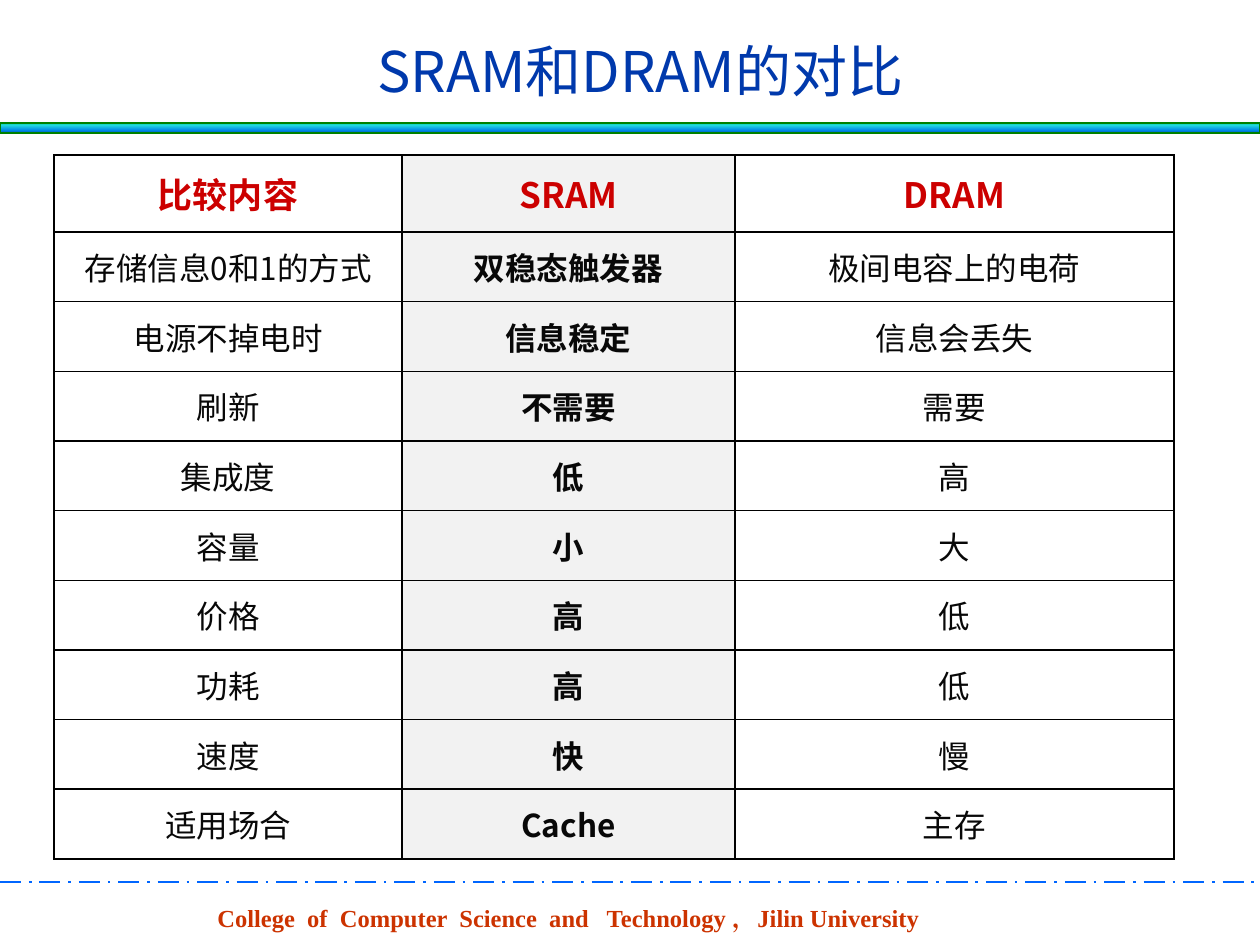
"""Build a slide that compares SRAM with DRAM in a table."""
from lxml import etree
from pptx import Presentation
from pptx import util as u
from pptx.dml.color import RGBColor
from pptx.enum import dml, shapes, text
from pptx.oxml import ns, parse_xml

TITLE = "SRAM和DRAM的对比"
FOOTER = "College  of  Computer  Science  and   Technology ，Jilin University"
ROWS = [
    ("比较内容", "SRAM", "DRAM"),
    ("存储信息0和1的方式", "双稳态触发器", "极间电容上的电荷"),
    ("电源不掉电时", "信息稳定", "信息会丢失"),
    ("刷新", "不需要", "需要"),
    ("集成度", "低", "高"),
    ("容量", "小", "大"),
    ("价格", "高", "低"),
    ("功耗", "高", "低"),
    ("速度", "快", "慢"),
    ("适用场合", "Cache", "主存"),
]
COLORS = {
    "title": "0039AC", "header": "CC0000", "body": "080808", "footer": "CC3300",
    "white": "FFFFFF", "shade": "F2F2F2", "border": "000000",
    "dash": "0066FF", "bar_line": "008000",
}
BAR_STOPS = [(0, "03D4A8"), (25, "21D6E0"), (75, "0087E6"), (100, "005CBF")]
SANS, SERIF = "Noto Sans CJK SC", "Times New Roman"
PX = u.Inches(1) / 126
SLIDE = (1260, 945)
TITLE_BOX = (105, 26, 1071, 89)
BAR_BOX = (0, 123, 1260, 10)
TABLE_BOX = (54, 155, 1120, 704)
FOOTER_BOX = (205, 897, 746, 42)
DASH_Y = 882
COLUMN_WIDTHS = (348, 333, 439)
HEADER_HEIGHT = 77
CELL_FORMAT = {
    "vertical_anchor": text.MSO_ANCHOR.MIDDLE,
    "margin_left": u.Inches(0.02), "margin_right": u.Inches(0.02),
    "margin_top": u.Inches(0.05), "margin_bottom": u.Inches(0.05),
}


def emu(*lengths):
    return [u.Emu(round(length * PX)) for length in lengths]


def color(name):
    return RGBColor.from_string(COLORS[name])


def apply(target, values):
    for name, value in values.items():
        setattr(target, name, value)


def write(frame, words, face, size, color_name, bold=False, align=text.PP_ALIGN.CENTER):
    paragraph = frame.paragraphs[0]
    paragraph.alignment = align
    run = paragraph.add_run()
    run.text = words
    apply(run.font, {"name": face, "size": u.Pt(size), "bold": bold})
    run.font.color.rgb = color(color_name)
    properties = run.font.name and run._r.get_or_add_rPr()
    etree.SubElement(properties, ns.qn("a:ea")).set("typeface", face)


def add_borders(cell):
    properties = cell._tc.get_or_add_tcPr()
    for index, side in enumerate("LRTB"):
        properties.insert(index, parse_xml(
            f'<a:ln{side} {ns.nsdecls("a")} w="12700"><a:solidFill>'
            f'<a:srgbClr val="{COLORS["border"]}"/></a:solidFill></a:ln{side}>'))


def add_bar(slide):
    bar = slide.shapes.add_shape(shapes.MSO_SHAPE.RECTANGLE, *emu(*BAR_BOX))
    bar.shadow.inherit = False
    bar.line.color.rgb = color("bar_line")
    bar.line.width = u.Pt(0.75)
    bar.fill.gradient()
    bar.fill.gradient_angle = 270
    stops = bar._element.spPr.find(".//" + ns.qn("a:gsLst"))
    stops.clear()
    for position, value in BAR_STOPS:
        stop = etree.SubElement(stops, ns.qn("a:gs"), pos=str(position * 1000))
        etree.SubElement(stop, ns.qn("a:srgbClr"), val=value)


def add_footer(slide):
    dash = slide.shapes.add_connector(
        shapes.MSO_CONNECTOR.STRAIGHT, *emu(0, DASH_Y, SLIDE[0], DASH_Y))
    dash.line.color.rgb = color("dash")
    apply(dash.line, {"width": u.Pt(1.5), "dash_style": dml.MSO_LINE.LONG_DASH_DOT})
    etree.SubElement(dash._element.spPr, ns.qn("a:effectLst"))
    frame = slide.shapes.add_textbox(*emu(*FOOTER_BOX)).text_frame
    frame.word_wrap = True
    write(frame, FOOTER, SERIF, 14, "footer", True, text.PP_ALIGN.LEFT)


def add_title(slide):
    title = slide.shapes.title
    apply(title, dict(zip(("left", "top", "width", "height"), emu(*TITLE_BOX))))
    apply(title.text_frame, {"word_wrap": True, "vertical_anchor": text.MSO_ANCHOR.MIDDLE})
    write(title.text_frame, TITLE, SANS, 32, "title")


def add_comparison(slide):
    table = slide.shapes.add_table(len(ROWS), len(COLUMN_WIDTHS), *emu(*TABLE_BOX)).table
    for column, width in zip(table.columns, emu(*COLUMN_WIDTHS)):
        column.width = width
    body_height = (TABLE_BOX[3] - HEADER_HEIGHT) / (len(ROWS) - 1)
    for r, words in enumerate(ROWS):
        header = r == 0
        table.rows[r].height = emu(HEADER_HEIGHT if header else body_height)[0]
        for c, label in enumerate(words):
            cell, shaded = table.cell(r, c), c == 1
            apply(cell, CELL_FORMAT)
            cell.fill.solid()
            cell.fill.fore_color.rgb = color("shade" if shaded else "white")
            add_borders(cell)
            write(cell.text_frame, label, SANS, 20 if header else 18,
                  "header" if header else "body", header or shaded)


def main():
    presentation = Presentation()
    presentation.slide_width, presentation.slide_height = emu(*SLIDE)
    slide = presentation.slides.add_slide(presentation.slide_layouts[5])
    add_footer(slide)
    add_bar(slide)
    add_title(slide)
    add_comparison(slide)
    presentation.save("out.pptx")


if __name__ == "__main__":
    main()
